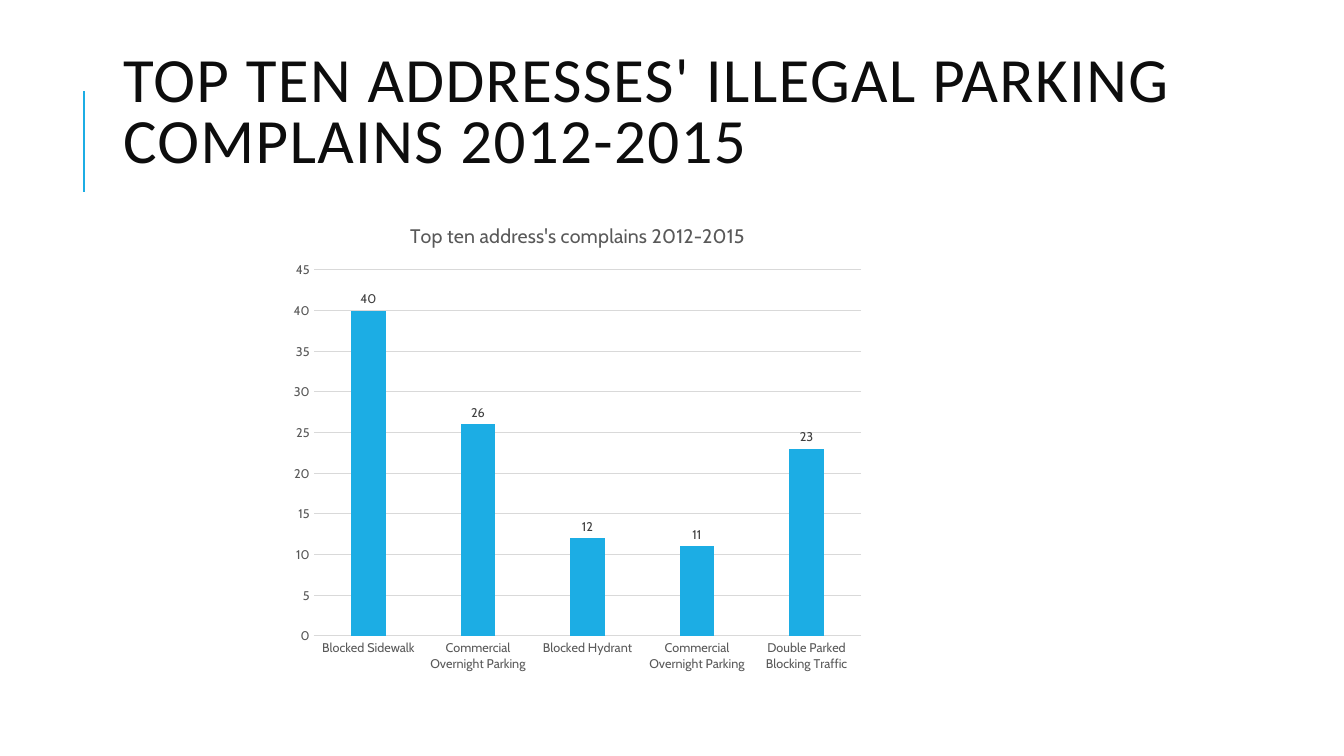
from dataclasses import dataclass

from lxml import etree
from pptx import Presentation
from pptx import util as u
from pptx.chart.data import CategoryChartData
from pptx.dml.color import RGBColor
from pptx.enum import chart as ch, shapes, text
from pptx.oxml import parse_xml
from pptx.oxml.ns import nsdecls, qn

TITLE = "TOP TEN ADDRESSES' ILLEGAL PARKING COMPLAINS 2012-2015"
CHART_TITLE = "Top ten address's complains 2012-2015"
COMPLAINTS = [
    ("Blocked Sidewalk", 40),
    ("Commercial Overnight Parking", 26),
    ("Blocked Hydrant", 12),
    ("Commercial Overnight Parking", 11),
    ("Double Parked Blocking Traffic", 23),
]

# Inches: left, top, width, height
SLIDE = (13.33, 7.5)
TITLE_BOX = (1.12, 0.64, 10.63, 1.64)
CHART_BOX = (2.8, 2.02, 5.86, 4.74)
ACCENT_RULE = (0.83, 1.9, 0.83, 0.9)  # x1, y1, x2, y2
PLOT_SHARES = {"x": 0.053, "y": 0.139, "w": 0.927, "h": 0.766}


@dataclass(frozen=True)
class Theme:
    accent: str = "1CADE4"
    heading: str = "0D0D0D"
    muted: str = "595959"
    label: str = "404040"
    grid: str = "D9D9D9"
    heading_font: str = "Calibri"
    body_font: str = "Cabin"
    heading_size: float = 45
    chart_title_size: float = 14
    chart_size: float = 9


THEME = Theme()


def inches(values):
    return [u.Inches(v) for v in values]


def style_font(font, name, size, color):
    font.name, font.size, font.bold = name, u.Pt(size), False
    font.color.rgb = RGBColor.from_string(color)


def style_line(line, color, width):
    line.color.rgb = RGBColor.from_string(color)
    line.width = u.Pt(width)


def add_accent_rule(slide):
    rule = slide.shapes.add_connector(
        shapes.MSO_CONNECTOR.STRAIGHT, *inches(ACCENT_RULE))
    style_line(rule.line, THEME.accent, 1.5)
    etree.SubElement(rule._element.spPr, qn("a:effectLst"))


def fill_title(slide):
    sp = slide.shapes.title
    sp.left, sp.top, sp.width, sp.height = inches(TITLE_BOX)
    tf = sp.text_frame
    tf.word_wrap, tf.auto_size = True, text.MSO_AUTO_SIZE.NONE
    tf.vertical_anchor = text.MSO_ANCHOR.MIDDLE
    tf.margin_bottom = u.Inches(0.69)  # lifts the two lines above centre
    p = tf.paragraphs[0]
    p.alignment, p.line_spacing = text.PP_ALIGN.LEFT, 0.8
    r = p.add_run()
    r.text = TITLE
    style_font(r.font, THEME.heading_font, THEME.heading_size, THEME.heading)
    r.font._element.set("spc", "100")


def style_axis(axis):
    axis.major_tick_mark = axis.minor_tick_mark = ch.XL_TICK_MARK.NONE
    style_font(axis.tick_labels.font, THEME.body_font, THEME.chart_size, THEME.muted)


def fix_plot_area(chart):
    """Pin the inner plot area to shares of the chart's size."""
    area = chart._chartSpace.chart.plotArea
    for old in area.findall(qn("c:layout")):
        area.remove(old)
    sizes = "".join(f'<c:{k} val="{v}"/>' for k, v in PLOT_SHARES.items())
    area.insert(0, parse_xml(
        f'<c:layout {nsdecls("c")}><c:manualLayout><c:layoutTarget val="inner"/>'
        f'<c:xMode val="edge"/><c:yMode val="edge"/>{sizes}'
        '</c:manualLayout></c:layout>'))


def add_complaints_chart(slide):
    data = CategoryChartData()
    data.categories = [name for name, _ in COMPLAINTS]
    data.add_series("Series 1", [count for _, count in COMPLAINTS])
    chart = slide.shapes.add_chart(
        ch.XL_CHART_TYPE.COLUMN_CLUSTERED, *inches(CHART_BOX), data).chart
    style_font(chart.font, THEME.body_font, 10, "000000")
    chart.has_legend = False

    chart.has_title = True
    r = chart.chart_title.text_frame.paragraphs[0].add_run()
    r.text = CHART_TITLE
    style_font(r.font, THEME.body_font, THEME.chart_title_size, THEME.muted)
    chart.chart_title.include_in_layout = False

    style_axis(chart.category_axis)
    style_line(chart.category_axis.format.line, THEME.grid, 0.75)
    values = chart.value_axis
    style_axis(values)
    values.minimum_scale, values.maximum_scale, values.major_unit = 0, 45, 5
    values.format.line.fill.background()
    style_line(values.major_gridlines.format.line, THEME.grid, 0.75)

    plot = chart.plots[0]
    plot.gap_width, plot.overlap, plot.vary_by_categories = 219, -27, False
    series = plot.series[0]
    series.format.fill.solid()
    series.format.fill.fore_color.rgb = RGBColor.from_string(THEME.accent)
    labels = series.data_labels
    labels.show_value = True
    labels.position = ch.XL_LABEL_POSITION.OUTSIDE_END
    style_font(labels.font, THEME.body_font, THEME.chart_size, THEME.label)
    fix_plot_area(chart)


def main():
    prs = Presentation()
    prs.slide_width, prs.slide_height = inches(SLIDE)
    slide = prs.slides.add_slide(prs.slide_layouts.get_by_name("Title Only"))
    add_accent_rule(slide)
    fill_title(slide)
    add_complaints_chart(slide)
    prs.save("out.pptx")


if __name__ == "__main__":
    main()
